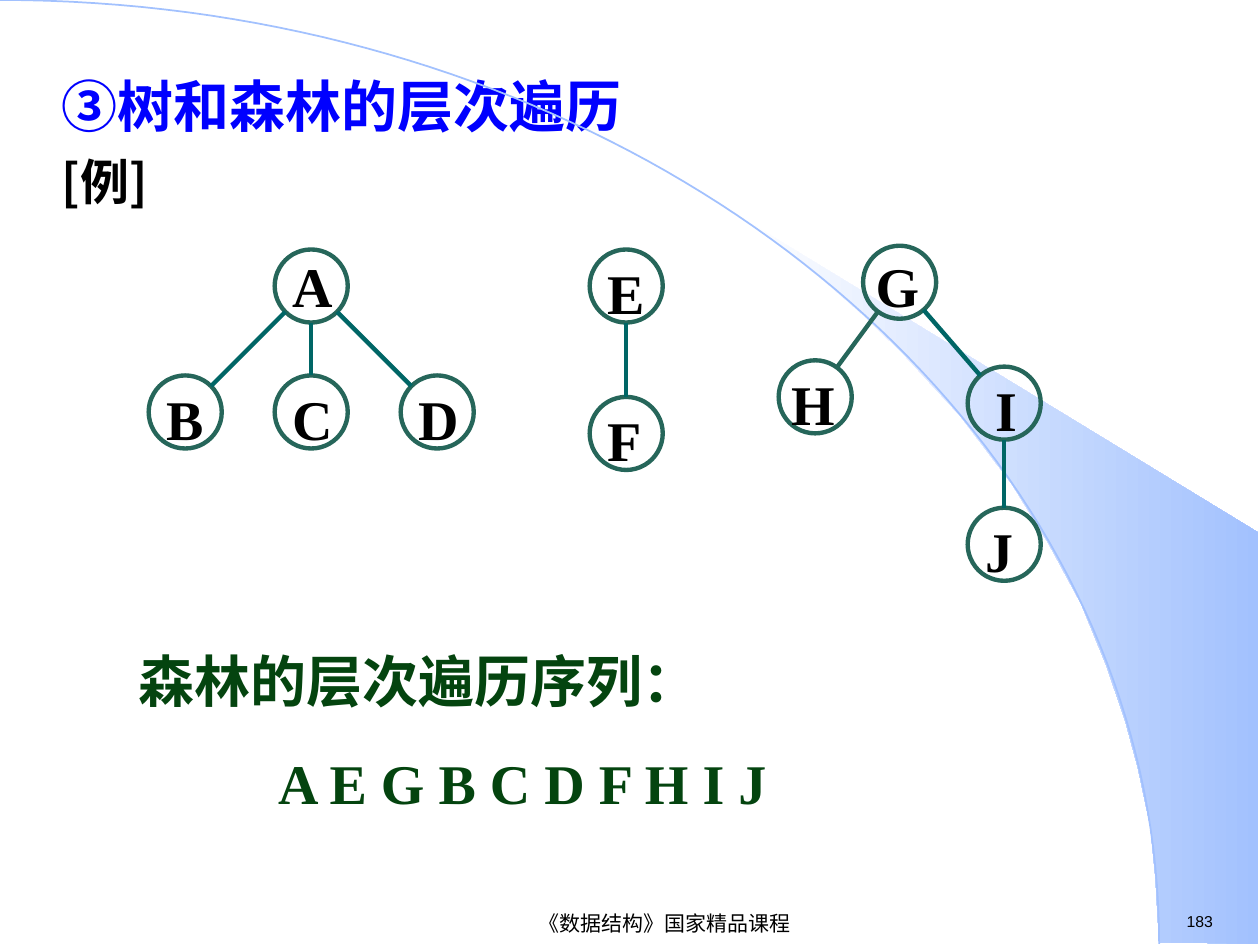
"""Build the slide on level-order traversal of trees and forests."""
from dataclasses import dataclass
from math import hypot

from lxml import etree
from pptx import Presentation
from pptx.dml.color import RGBColor
from pptx.enum.shapes import MSO_CONNECTOR, MSO_SHAPE
from pptx.enum.text import MSO_ANCHOR, MSO_AUTO_SIZE, PP_ALIGN
from pptx.oxml.ns import qn
from pptx.util import Inches, Pt

STRAIGHT, OVAL = MSO_CONNECTOR.STRAIGHT, MSO_SHAPE.OVAL
TOP, MIDDLE = MSO_ANCHOR.TOP, MSO_ANCHOR.MIDDLE
LEFT, CENTER = PP_ALIGN.LEFT, PP_ALIGN.CENTER
FIXED = MSO_AUTO_SIZE.NONE
SERIF, SANS, CJK = "Times New Roman", "Arial", "Noto Sans CJK SC"
COLORS = {"black": "000000", "white": "FFFFFF", "title": "0000FF", "sky": "A2C1FE",
          "ring": "26665A", "branch": "006666", "answer": "04440F"}
WIDTH, HEIGHT = Inches(10), Inches(7.5)
COLUMNS, ROWS = 10, 7.5
RADIUS = 0.29
ARC = [(0, 0), (5.08, 0), (9.2, 3.35), (9.2, 7.49)]
ARC_STEPS = 80
FAN = [(9.2, 7.48), (9.99, 7.49), (9.99, 4.23), (5.89, 1.73), (6.24, 1.99), (6.53, 2.22),
       (6.85, 2.5), (7.16, 2.8), (7.62, 3.3), (8.03, 3.84), (8.32, 4.31), (8.58, 4.79),
       (8.78, 5.28), (8.93, 5.72), (9.03, 6.09), (9.13, 6.56), (9.17, 6.96)]


@dataclass
class Node:
    """A tree node: its centre on the grid and the shift of its letter."""
    x: float
    y: float
    shift_x: float = 0.04
    shift_y: float = -0.03
    spacing: float = 1.1


@dataclass
class Style:
    """The look of a run of text."""
    size: float
    font: str = SERIF
    color: str = "black"
    bold: bool = True


NODES = {
    "A": Node(2.47, 2.27, spacing=1), "B": Node(1.47, 3.27), "C": Node(2.47, 3.27),
    "D": Node(3.47, 3.27), "E": Node(4.97, 2.27), "F": Node(4.97, 3.44),
    "G": Node(7.14, 2.24, 0, 0, 1), "H": Node(6.47, 3.15, 0),
    "I": Node(7.97, 3.2, 0.12), "J": Node(7.97, 4.32),
}
EDGES = ["AB", "AC", "AD", "EF", "GH", "GI", "IJ"]


def col(count: float) -> int:
    """Return the length of a number of grid columns."""
    return round(WIDTH * count / COLUMNS)


def row(count: float) -> int:
    """Return the length of a number of grid rows."""
    return round(HEIGHT * count / ROWS)


def rgb(name: str) -> RGBColor:
    """Look up a colour by name."""
    return RGBColor.from_string(COLORS[name])


def add_span(para, text: str, style: Style) -> None:
    """Add one formatted run to a paragraph."""
    span = para.add_run()
    span.text = text
    font = span.font
    font.name, font.size, font.bold = style.font, Pt(style.size), style.bold
    font.color.rgb = rgb(style.color)


def add_box(page, place: tuple, text: str, style: Style, wrap=True, align=LEFT, anchor=TOP):
    """Add a text box with one paragraph and return its text frame."""
    left, top, width, height = place
    frame = page.shapes.add_textbox(col(left), row(top), col(width), row(height)).text_frame
    frame.word_wrap, frame.vertical_anchor = wrap, anchor
    frame.paragraphs[0].alignment = align
    add_span(frame.paragraphs[0], text, style)
    return frame


def add_outline(page, points: list, closed: bool):
    """Add a freeform through grid points."""
    scaled = [(col(x), row(y)) for x, y in points]
    builder = page.shapes.build_freeform(*scaled[0])
    builder.add_line_segments(scaled[1:], close=closed)
    shape = builder.convert_to_shape()
    shape.shadow.inherit = False
    return shape


def add_backdrop(page) -> None:
    """Draw the shaded fan and the long arc."""
    fan = add_outline(page, FAN, True)
    fan.line.fill.background()
    fan.fill.gradient()
    fan.fill.gradient_angle = 0
    for stop, (position, color) in zip(fan.fill.gradient_stops, [(0, "white"), (1, "sky")]):
        stop.position, stop.color.rgb = position, rgb(color)
    steps = [index / ARC_STEPS for index in range(ARC_STEPS + 1)]
    weights = [((1 - t) ** 3, 3 * t * (1 - t) ** 2, 3 * t * t * (1 - t), t ** 3) for t in steps]
    curve = [tuple(sum(w * point[axis] for w, point in zip(weight, ARC)) for axis in (0, 1))
             for weight in weights]
    arc = add_outline(page, curve, False)
    arc.fill.background()
    arc.line.color.rgb, arc.line.width = rgb("sky"), Pt(1)


def add_node(page, letter: str, node: Node) -> None:
    """Draw a ring with its letter."""
    left, top, size = node.x - RADIUS, node.y - RADIUS, 2 * RADIUS
    ring = page.shapes.add_shape(OVAL, col(left), row(top), col(size), row(size))
    ring.shadow.inherit = False
    ring.fill.background()
    ring.line.color.rgb, ring.line.width = rgb("ring"), Pt(2.5)
    place = (left + node.shift_x, top + node.shift_y, size, 0.64)
    frame = add_box(page, place, letter, Style(32))
    frame.paragraphs[0].line_spacing = node.spacing


def add_edge(page, parent: Node, child: Node, color: str) -> None:
    """Join two rings from rim to rim."""
    span_x, span_y = child.x - parent.x, child.y - parent.y
    share = RADIUS / hypot(span_x, span_y)
    trim_x, trim_y = span_x * share, span_y * share
    edge = page.shapes.add_connector(STRAIGHT, col(parent.x + trim_x), row(parent.y + trim_y),
                                     col(child.x - trim_x), row(child.y - trim_y))
    edge.line.color.rgb, edge.line.width = rgb(color), Pt(2.5)
    etree.SubElement(edge.line._get_or_add_ln().getparent(), qn("a:effectLst"))


def fill_body(page) -> None:
    """Write the heading and the example mark in the body placeholder."""
    title, body = page.placeholders[0], page.placeholders[1]
    title.element.getparent().remove(title.element)
    body.left, body.top, body.width, body.height = col(0.39), row(0.52), col(8.62), row(6.34)
    frame = body.text_frame
    frame.auto_size = FIXED
    heading, example = frame.paragraphs[0], frame.add_paragraph()
    for para, before in ((heading, 0), (example, 7)):
        properties = para._p.get_or_add_pPr()
        properties.set("marL", str(col(0.38)))
        properties.set("indent", str(-col(0.38)))
        etree.SubElement(properties, qn("a:buNone"))
        para.space_before = Pt(before)
    add_span(heading, "③树和森林的层次遍历", Style(32, color="title"))
    add_span(example, "[例]", Style(28, CJK))


def add_answer(page) -> None:
    """Write the traversal sequence of the forest."""
    style = Style(32, color="answer")
    frame = add_box(page, (1, 5.08, 7.67, 1.45), "森林的层次遍历序列：", style)
    sequence = frame.add_paragraph()
    sequence._p.get_or_add_pPr().set("marL", str(col(1.11)))
    sequence.space_before = Pt(20)
    add_span(sequence, "A E G B C D F H I J", style)


def main() -> None:
    """Build and save the deck."""
    deck = Presentation()
    deck.slide_width, deck.slide_height = WIDTH, HEIGHT
    page = deck.slides.add_slide(deck.slide_layouts[1])
    add_backdrop(page)
    add_box(page, (9.32, 7.19, 0.77, 0.25), "183", Style(9, SANS, bold=False), wrap=False)
    add_box(page, (2.4, 7.21, 5.75, 0.24), "《数据结构》国家精品课程",
            Style(12, SANS, bold=False), wrap=False, align=CENTER, anchor=MIDDLE)
    fill_body(page)
    for letter, node in NODES.items():
        add_node(page, letter, node)
    for parent, child in EDGES:
        color = "ring" if parent + child == "GH" else "branch"
        add_edge(page, NODES[parent], NODES[child], color)
    add_answer(page)
    deck.save("out.pptx")


if __name__ == "__main__":
    main()
